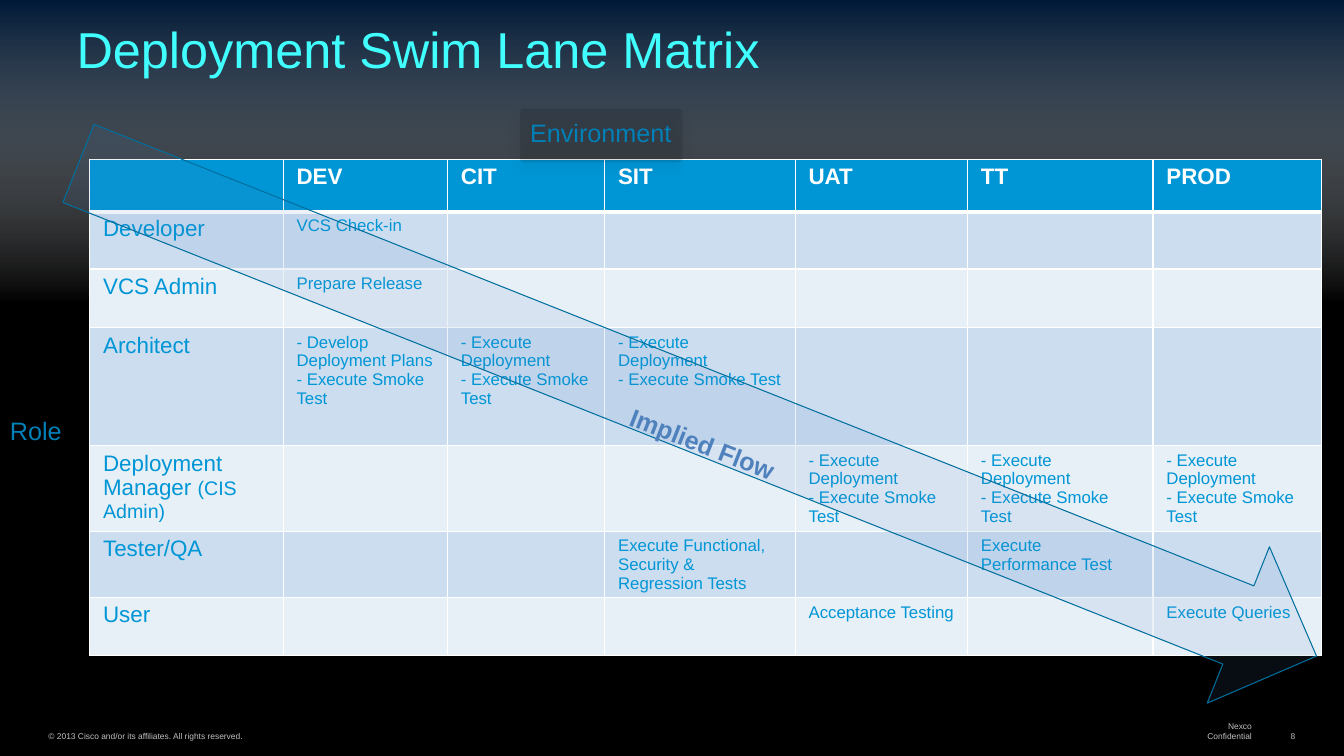
from dataclasses import dataclass, field

from lxml import etree
from pptx import Presentation
from pptx.dml.color import RGBColor
from pptx.enum.shapes import MSO_SHAPE as Preset
from pptx.enum.text import MSO_ANCHOR as Anchor, MSO_AUTO_SIZE as AutoSize, PP_ALIGN as Align
from pptx.oxml.ns import qn
from pptx.util import Pt

BLUE, WHITE, BLACK, FLOW, GREY = "0096D6", "FFFFFF", "000000", "4F81BD", "C0C0C0"
BANDS = ("CCDDF0", "E7EFF7")
ENVIRONMENTS = {"DEV": 117.4, "CIT": 112.3, "SIT": 136.1, "UAT": 123.1, "TT": 132.5, "PROD": 120.2}
ROLE_WIDTH, HEADER_HEIGHT = 138.2, 37.4
DEPLOY = "- Execute Deployment\n- Execute Smoke Test"


@dataclass
class Lane:
    role: str
    height: float
    steps: dict[str, str]
    note: str = ""


@dataclass
class Label:
    text: str
    place: tuple[float, float, float, float]
    size: float = 18
    color: str = BLUE
    bold: bool = False
    turn: float = 0
    align: Align = Align.LEFT
    frame: dict = field(default_factory=lambda: {"word_wrap": True})


@dataclass
class Plate:
    preset: Preset
    place: tuple[float, float, float, float]
    fill: str
    line: str = ""
    turn: float = 0
    corner: float | None = None


LANES = [
    Lane("Developer", 41, {"DEV": "VCS Check-in"}),
    Lane("VCS Admin", 42, {"DEV": "Prepare Release"}),
    Lane("Architect", 84.3, {"DEV": "- Develop Deployment Plans\n- Execute Smoke Test",
                             "CIT": DEPLOY, "SIT": DEPLOY}),
    Lane("Deployment Manager ", 60, {"UAT": DEPLOY, "TT": DEPLOY, "PROD": DEPLOY}, "(CIS Admin)"),
    Lane("Tester/QA", 41, {"SIT": "Execute Functional, Security & Regression Tests",
                           "TT": "Execute Performance Test"}),
    Lane("User", 41, {"UAT": "Acceptance Testing", "PROD": "Execute Queries"}),
]

FOOTER = {"vertical_anchor": Anchor.BOTTOM, "margin_left": Pt(6.5), "margin_right": Pt(6.5),
          "margin_top": Pt(2.9), "margin_bottom": Pt(2.9)}
FOOTERS = [
    Label("© 2013 Cisco and/or its affiliates. All rights reserved.", (28.1, 518.4, 359.3, 13.7),
          6, GREY, frame=FOOTER | {"word_wrap": True}),
    Label("Nexco Confidential", (838.1, 518.4, 62.6, 13.7), 6, GREY,
          align=Align.RIGHT, frame=FOOTER | {"word_wrap": False}),
    Label("8", (911.5, 518.4, 20.2, 13.7), 6, GREY,
          align=Align.RIGHT, frame=FOOTER | {"word_wrap": False}),
]
AXES = [
    Label("Environment", (371.5, 80.6, 115.9, 29)),
    Label("Role", (0, 293, 72, 29)),
]
FLOW_LABEL = Label("Implied Flow", (421.9, 302.4, 159.8, 29), color=FLOW, bold=True,
                   turn=21.2, align=Align.CENTER)
FLOW_ARROW = Plate(Preset.RIGHT_ARROW, (22.3, 232.6, 951.8, 120.2), FLOW, "006F9E", 21.7)
AXIS_PLATES = [
    Plate(Preset.ROUNDED_RECTANGLE, (0, 285.8, 53.3, 43.2), BLACK, corner=0.068),
    Plate(Preset.ROUNDED_RECTANGLE, (371.5, 77.8, 115.9, 38.2), BLACK, corner=0.068),
]


def set_format(target, values: dict) -> None:
    for name, value in values.items():
        setattr(target, name, value)


def paint(fill, color: str) -> None:
    fill.solid()
    fill.fore_color.rgb = RGBColor.from_string(color)


def add_color(parent, color: str, opacity: int = 100) -> None:
    node = etree.SubElement(parent, qn("a:srgbClr"), val=color)
    if opacity < 100:
        etree.SubElement(node, qn("a:alpha"), val=str(opacity * 1000))


def paint_gradient(fill, element, angle: float, stops: list[tuple]) -> None:
    fill.gradient()
    fill.gradient_angle = 360 - angle
    stop_list = element.find(".//" + qn("a:gsLst"))
    for old in list(stop_list):
        stop_list.remove(old)
    for position, *color in stops:
        add_color(etree.SubElement(stop_list, qn("a:gs"), pos=str(position * 1000)), *color)


def add_span(para, text: str, size: float, color: str, bold: bool = False):
    span = para.add_run()
    span.text = text
    set_format(span.font, {"name": "Arial", "size": Pt(size), "bold": bold})
    paint(span.font.fill, color)
    return span


def add_label(page, label: Label) -> None:
    box = page.shapes.add_textbox(*map(Pt, label.place))
    box.rotation = label.turn
    set_format(box.text_frame, {"auto_size": AutoSize.SHAPE_TO_FIT_TEXT} | label.frame)
    para = box.text_frame.paragraphs[0]
    para.alignment = label.align
    add_span(para, label.text, label.size, label.color, label.bold)


def add_plate(page, plate: Plate):
    shape = page.shapes.add_shape(plate.preset, *map(Pt, plate.place))
    set_format(shape, {"rotation": plate.turn})
    shape.shadow.inherit = False
    paint(shape.fill, plate.fill)
    tint = shape.fill.fore_color._xFill.find(qn("a:srgbClr"))
    etree.SubElement(tint, qn("a:alpha"), val="10000")
    if plate.line:
        paint(shape.line.fill, plate.line)
        shape.line.width = Pt(0.75)
    else:
        shape.line.fill.background()
    if plate.corner is not None:
        shape.adjustments[0] = plate.corner
    return shape


def add_shadow(shape) -> None:
    effects = shape._element.spPr.find(qn("a:effectLst"))
    shadow = etree.SubElement(effects, qn("a:outerShdw"), blurRad=str(Pt(10)), dist=str(Pt(5)),
                              dir=str(94 * 60000), rotWithShape="0")
    add_color(shadow, BLACK, 44)


def style_cell(cell, fill: str, top: float, bottom: float) -> None:
    set_format(cell, {"margin_left": Pt(9.6), "margin_right": Pt(9.6),
                      "margin_top": Pt(3.6), "margin_bottom": Pt(3.6)})
    properties = cell._tc.get_or_add_tcPr()
    for side, width in {"L": 1, "R": 1, "T": top, "B": bottom}.items():
        border = etree.SubElement(properties, qn(f"a:ln{side}"), w=str(Pt(width)))
        add_color(etree.SubElement(border, qn("a:solidFill")), WHITE)
    paint(cell.fill, fill)


def add_matrix(page) -> None:
    widths = [ROLE_WIDTH, *ENVIRONMENTS.values()]
    heights = [HEADER_HEIGHT, *(lane.height for lane in LANES)]
    table = page.shapes.add_table(len(heights), len(widths), Pt(64.1), Pt(113.8),
                                  Pt(sum(widths)), Pt(sum(heights))).table
    for column, width in zip(table.columns, widths):
        column.width = Pt(width)
    for row, height in zip(table.rows, heights):
        row.height = Pt(height)
    for col in range(len(widths)):
        style_cell(table.cell(0, col), BLUE, 1, 3)
    for col, name in enumerate(ENVIRONMENTS, 1):
        add_span(table.cell(0, col).text_frame.paragraphs[0], name, 16, WHITE, True)
    for row, lane in enumerate(LANES, 1):
        for col in range(len(widths)):
            style_cell(table.cell(row, col), BANDS[(row - 1) % 2], 3 if row == 1 else 1, 1)
        role = table.cell(row, 0).text_frame.paragraphs[0]
        add_span(role, lane.role, 16, BLUE)
        if lane.note:
            add_span(role, lane.note, 14, BLUE)
        for col, name in enumerate(ENVIRONMENTS, 1):
            frame = table.cell(row, col).text_frame
            for index, step in enumerate(lane.steps.get(name, "").splitlines()):
                para = frame.add_paragraph() if index else frame.paragraphs[0]
                add_span(para, step, 12, BLUE)


def main() -> None:
    deck = Presentation()
    set_format(deck, {"slide_width": Pt(960), "slide_height": Pt(540)})
    page = deck.slides.add_slide(deck.slide_layouts[5])
    paint(page.background.fill, BLACK)

    # Glow at the top and footer
    glow = page.shapes.add_shape(Preset.RECTANGLE, 0, 0, Pt(960), Pt(216.7))
    glow.shadow.inherit = False
    glow.line.fill.background()
    paint_gradient(glow.fill, glow._element.spPr, 90, [(0, "001A38"), (100, WHITE, 0)])
    for label in FOOTERS:
        add_label(page, label)

    # Title, raised above the glow
    title = page.shapes.title
    title._element.getparent().append(title._element)
    set_format(title, {"left": Pt(48.2), "top": Pt(5.8), "width": Pt(895.7), "height": Pt(54)})
    set_format(title.text_frame, {"vertical_anchor": Anchor.BOTTOM, "word_wrap": True,
                                  "auto_size": AutoSize.NONE, "margin_left": Pt(6.5),
                                  "margin_right": Pt(6.5)})
    para = title.text_frame.paragraphs[0]
    set_format(para, {"alignment": Align.LEFT, "line_spacing": 0.8})
    span = add_span(para, "Deployment Swim Lane Matrix", 36, "40FFFE")
    paint_gradient(span.font.fill, span._r, 80, [(0, "00B2F0"), (44, "40FFFE"), (100, "96CA4B")])

    # Matrix with axis names and the flow across it
    add_matrix(page)
    for label in AXES:
        add_label(page, label)
    add_plate(page, FLOW_ARROW)
    add_label(page, FLOW_LABEL)
    for plate in AXIS_PLATES:
        add_shadow(add_plate(page, plate))

    deck.save("out.pptx")


if __name__ == "__main__":
    main()
